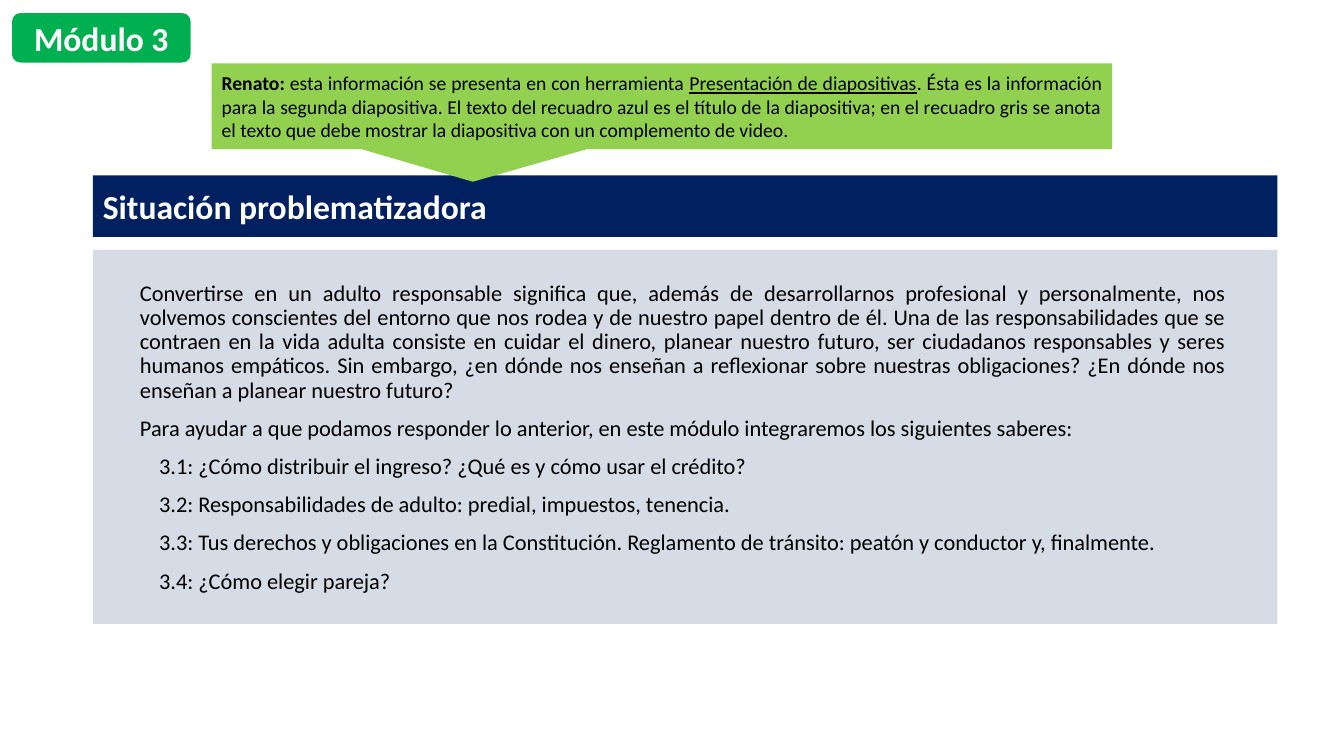
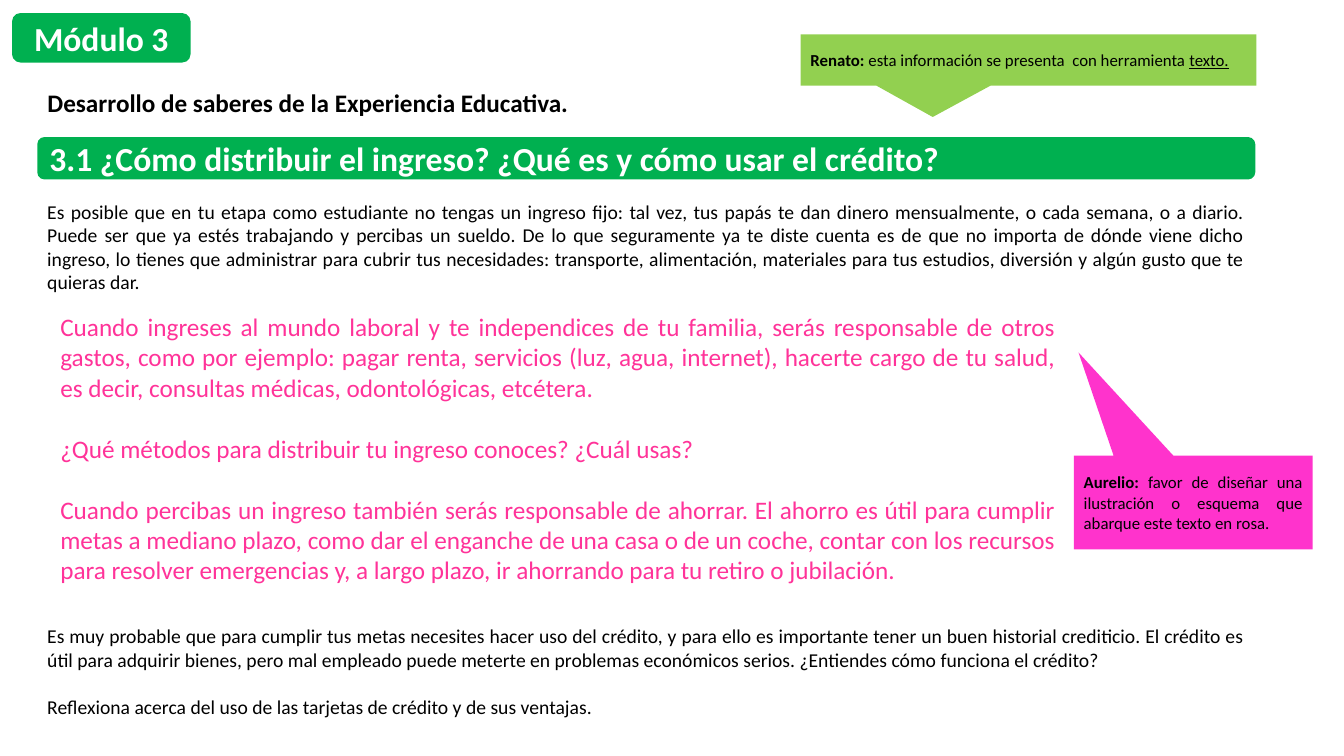
from dataclasses import dataclass

from pptx import Presentation
from pptx.dml.color import RGBColor
from pptx.enum.shapes import MSO_SHAPE
from pptx.enum.text import MSO_ANCHOR, MSO_AUTO_SIZE, PP_ALIGN
from pptx.util import Inches, Pt

RECT = MSO_SHAPE.RECTANGLE
ROUND = MSO_SHAPE.ROUNDED_RECTANGLE
CALLOUT = MSO_SHAPE.RECTANGULAR_CALLOUT
TOP, MIDDLE, BOTTOM = MSO_ANCHOR.TOP, MSO_ANCHOR.MIDDLE, MSO_ANCHOR.BOTTOM
LEFT, CENTER, JUSTIFY = PP_ALIGN.LEFT, PP_ALIGN.CENTER, PP_ALIGN.JUSTIFY
NO_FIT = MSO_AUTO_SIZE.NONE
TITLE_ONLY = 5


@dataclass(frozen=True)
class Theme:
    font: str = "Calibri"
    black: str = "000000"
    white: str = "FFFFFF"
    navy: str = "002060"
    gray: str = "D6DCE5"
    green: str = "00B050"
    lime: str = "92D050"
    magenta: str = "FF33CC"
    pink: str = "FF3399"
    head: int = 24
    large: int = 18
    body: int = 16
    small: int = 14
    note: int = 12
    tight: float = 0.9


THEME = Theme()

INTRO = (
    "Convertirse en un adulto responsable significa que, además de desarrollarnos "
    "profesional y personalmente, nos volvemos conscientes del entorno que nos rodea "
    "y de nuestro papel dentro de él. Una de las responsabilidades que se contraen en "
    "la vida adulta consiste en cuidar el dinero, planear nuestro futuro, ser ciudadanos "
    "responsables y seres humanos empáticos. Sin embargo, ¿en dónde nos enseñan a "
    "reflexionar sobre nuestras obligaciones? ¿En dónde nos enseñan a planear nuestro futuro?",
    "Para ayudar a que podamos responder lo anterior, en este módulo integraremos los "
    "siguientes saberes:",
)
TOPICS = (
    "3.1: ¿Cómo distribuir el ingreso? ¿Qué es y cómo usar el crédito?",
    "3.2: Responsabilidades de adulto: predial, impuestos, tenencia.",
    "3.3: Tus derechos y obligaciones en la Constitución. Reglamento de tránsito: peatón "
    "y conductor y, finalmente.",
    "3.4: ¿Cómo elegir pareja?",
)
INCOME = (
    "Es posible que en tu etapa como estudiante no tengas un ingreso fijo: tal vez, tus "
    "papás te dan dinero mensualmente, o cada semana, o a diario. Puede ser que ya estés "
    "trabajando y percibas un sueldo. De lo que seguramente ya te diste cuenta es de que "
    "no importa de dónde viene dicho ingreso, lo tienes que administrar para cubrir tus "
    "necesidades: transporte, alimentación, materiales para tus estudios, diversión y "
    "algún gusto que te quieras dar.",
)
SAVINGS = (
    "Cuando ingreses al mundo laboral y te independices de tu familia, serás responsable "
    "de otros gastos, como por ejemplo: pagar renta, servicios (luz, agua, internet), "
    "hacerte cargo de tu salud, es decir, consultas médicas, odontológicas, etcétera.",
    "¿Qué métodos para distribuir tu ingreso conoces? ¿Cuál usas?",
    "Cuando percibas un ingreso también serás responsable de ahorrar. El ahorro es útil "
    "para cumplir metas a mediano plazo, como dar el enganche de una casa o de un coche, "
    "contar con los recursos para resolver emergencias y, a largo plazo, ir ahorrando "
    "para tu retiro o jubilación.",
)
CREDIT = (
    "Es muy probable que para cumplir tus metas necesites hacer uso del crédito, y para "
    "ello es importante tener un buen historial crediticio. El crédito es útil para "
    "adquirir bienes, pero mal empleado puede meterte en problemas económicos serios. "
    "¿Entiendes cómo funciona el crédito?",
    "Reflexiona acerca del uso de las tarjetas de crédito y de sus ventajas.",
)


def place(shape, box):
    shape.left, shape.top, shape.width, shape.height = map(Inches, box)


def paint(shape, color):
    shape.fill.solid()
    shape.fill.fore_color.rgb = RGBColor.from_string(color)


def style(para, size, color, align=LEFT, bold=None):
    para.alignment = align
    font = para.font
    font.name, font.size, font.bold = THEME.font, Pt(size), bold
    font.color.rgb = RGBColor.from_string(color)


def add_title(slide, text, box, size, color):
    title = slide.shapes.title
    place(title, box)
    frame = title.text_frame
    frame.text = text
    frame.word_wrap = True
    frame.auto_size = NO_FIT
    frame.vertical_anchor = BOTTOM
    para = frame.paragraphs[0]
    style(para, size, color, bold=True)
    para.line_spacing = THEME.tight
    return title


def add_block(slide, kind, box, color):
    block = slide.shapes.add_shape(kind, *map(Inches, box))
    block.shadow.inherit = False
    paint(block, color)
    block.line.fill.background()
    frame = block.text_frame
    frame.word_wrap = True
    frame.vertical_anchor = MIDDLE
    return block


def add_label(slide, text, box, align):
    """Add a green rounded band with a white heading."""
    para = add_block(slide, ROUND, box, THEME.green).text_frame.paragraphs[0]
    para.text = text
    style(para, THEME.head, THEME.white, align, True)


def add_note(slide, box, tip, color, size, name, text, marked="", rest=""):
    """Add a callout: bold name, plain text, underlined words, plain rest."""
    note = add_block(slide, CALLOUT, box, color)
    note.adjustments[0], note.adjustments[1] = tip
    para = note.text_frame.paragraphs[0]
    style(para, size, THEME.black, JUSTIFY)
    parts = ((name, True, None), (text, None, None), (marked, None, True), (rest, None, None))
    for words, bold, under in parts:
        if words:
            run = para.add_run()
            run.text = words
            run.font.bold, run.font.underline = bold, under


def add_text(slide, texts, box, size, color=THEME.black, gap=0, spacing=None):
    """Add justified paragraphs, with a gap in points between them."""
    frame = slide.shapes.add_textbox(*map(Inches, box)).text_frame
    frame.word_wrap = True
    frame.vertical_anchor = TOP
    for i, text in enumerate(texts):
        para = frame.add_paragraph() if i else frame.paragraphs[0]
        para.text = text
        style(para, size, color, JUSTIFY)
        para.line_spacing = spacing
        para.space_before = Pt(gap if i else 0)
    return frame


def new_slide(deck):
    slide = deck.slides.add_slide(deck.slide_layouts[TITLE_ONLY])
    add_label(slide, "Módulo 3", (0.12, 0.13, 1.77, 0.49), CENTER)
    return slide


def add_problem(deck):
    slide = new_slide(deck)
    left, width = 0.92, 11.75
    title = add_title(slide, "Situación problematizadora", (left, 1.74, width, 0.61),
                      THEME.head, THEME.white)
    paint(title, THEME.navy)
    title.text_frame.margin_bottom = Inches(0.1)
    add_block(slide, RECT, (left, 2.48, width, 3.71), THEME.gray)
    add_note(slide, (2.1, 0.63, 8.93, 0.85), (-0.21, 0.88), THEME.lime, THEME.small,
             "Renato: ", "esta información se presenta en con herramienta ",
             "Presentación de diapositivas",
             ". Ésta es la información para la segunda diapositiva. El texto del recuadro "
             "azul es el título de la diapositiva; en el recuadro gris se anota el texto que "
             "debe mostrar la diapositiva con un complemento de video.")
    frame = add_text(slide, INTRO + TOPICS, (1.29, 2.75, 10.97, 3.3), THEME.body,
                     gap=10, spacing=THEME.tight)
    for para in frame.paragraphs[len(INTRO):]:
        # python-pptx has no public property for the paragraph indent
        para._p.get_or_add_pPr().set("marL", str(Inches(0.19)))


def add_income(deck):
    slide = new_slide(deck)
    left, width = 0.37, 12.08
    add_title(slide, "Desarrollo de saberes de la Experiencia Educativa.",
              (left, 0.71, 5.64, 0.51), THEME.large, THEME.black)
    add_note(slide, (7.94, 0.34, 4.52, 0.51), (-0.21, 1.11), THEME.lime, THEME.note,
             "Renato: ", "esta información se presenta  con herramienta ", "texto.")
    add_label(slide, "3.1 ¿Cómo distribuir el ingreso? ¿Qué es y cómo usar el crédito?",
              (left, 1.36, width, 0.42), LEFT)
    add_text(slide, INCOME, (left, 1.93, width, 1.05), THEME.small)
    add_text(slide, SAVINGS, (0.5, 3.04, 10.07, 2.83), THEME.large, THEME.pink, gap=22)
    add_note(slide, (10.65, 4.52, 2.37, 0.93), (-0.48, -1.6), THEME.magenta, THEME.note,
             "Aurelio: ",
             "favor de diseñar una ilustración o esquema que abarque este texto en rosa.")
    add_text(slide, CREDIT, (left, 6.14, width, 1.05), THEME.small, gap=17)


def main():
    deck = Presentation()
    deck.slide_width, deck.slide_height = Inches(13.33), Inches(7.5)
    add_problem(deck)
    add_income(deck)
    deck.save("out.pptx")


if __name__ == "__main__":
    main()
